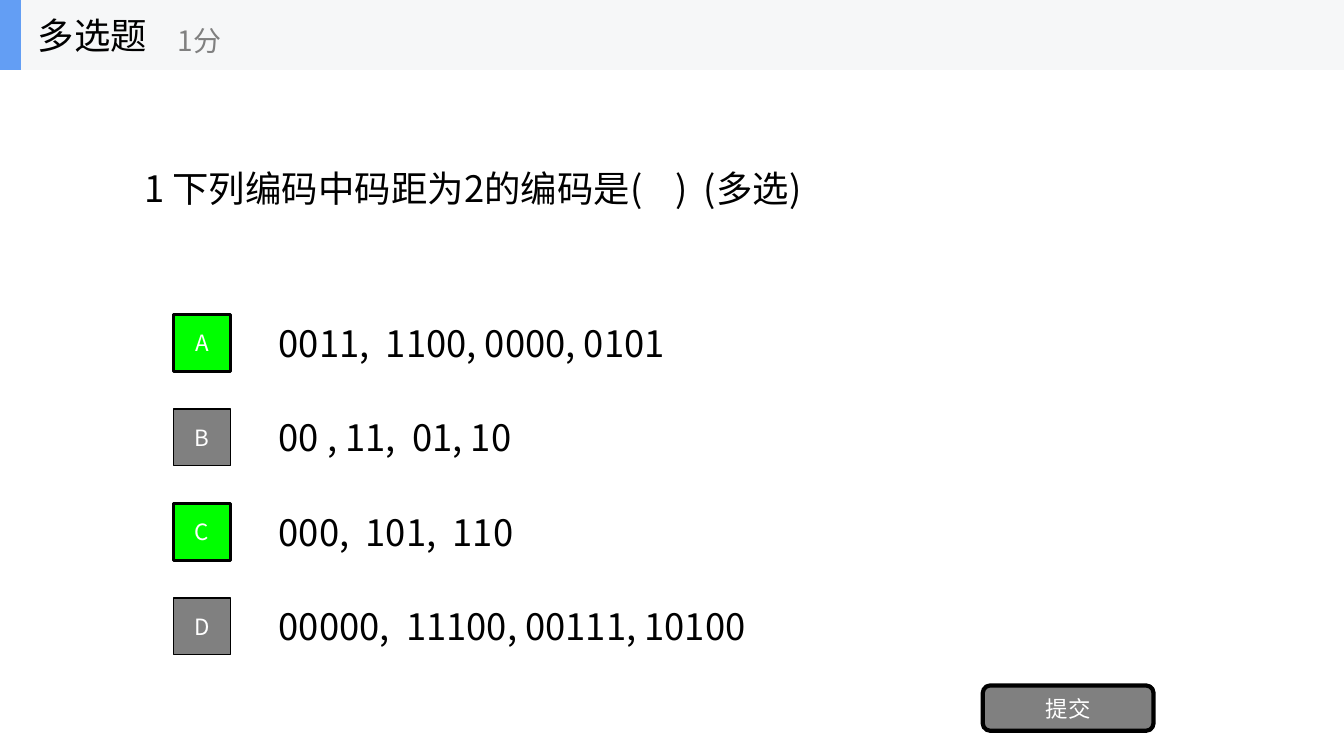
from dataclasses import dataclass

from pptx import Presentation
from pptx.dml.color import RGBColor
from pptx.enum import shapes, text
from pptx.oxml import ns
from pptx.util import Pt


@dataclass(frozen=True)
class Theme:
    font: str = "Noto Sans CJK SC"
    ink: str = "000000"
    white: str = "FFFFFF"
    gray: str = "808080"
    correct: str = "00FF00"
    band: str = "F6F7F8"
    accent: str = "639EF4"
    body_size: int = 26
    score_size: int = 20
    button_size: int = 16


THEME = Theme()
OPTIONS = [
    ("A", "0011,  1100, 0000, 0101", 316, True),
    ("B", "00 , 11,  01, 10", 202, False),
    ("C", "000,  101,  110", 203, True),
    ("D", "00000,  11100, 00111, 10100", 377, False),
]
OPTION_TOP, OPTION_STEP = 224.6, 67.5
KEY_SIZE, ANSWER_HEIGHT = 40.5, 38


def write(shape, words, size, color, align=text.PP_ALIGN.LEFT, wrap=True):
    frame = shape.text_frame
    frame.word_wrap = wrap
    frame.auto_size = text.MSO_AUTO_SIZE.NONE
    frame.vertical_anchor = text.MSO_ANCHOR.MIDDLE
    para = frame.paragraphs[0]
    para.text = words
    para.alignment = align
    font = para.font
    font.size = Pt(size)
    font.name = THEME.font
    font.color.rgb = RGBColor.from_string(color)
    # East Asian characters take their own typeface element
    defaults = para._p.pPr.find(ns.qn("a:defRPr"))
    east_asian = defaults.makeelement(ns.qn("a:ea"), {"typeface": THEME.font})
    defaults.find(ns.qn("a:latin")).addnext(east_asian)


def add_label(slide, words, left, top, width, height, size, color, wrap=True):
    box = slide.shapes.add_textbox(Pt(left), Pt(top), Pt(width), Pt(height))
    write(box, words, size, color, wrap=wrap)


def add_block(slide, kind, left, top, width, height, fill):
    block = slide.shapes.add_shape(kind, Pt(left), Pt(top), Pt(width), Pt(height))
    block.shadow.inherit = False
    block.fill.solid()
    block.fill.fore_color.rgb = RGBColor.from_string(fill)
    block.line.fill.background()
    return block


def add_button(slide, kind, words, left, top, width, height, fill, border):
    button = add_block(slide, kind, left, top, width, height, fill)
    button.line.color.rgb = RGBColor.from_string(THEME.ink)
    button.line.width = Pt(border)
    write(button, words, THEME.button_size, THEME.white, text.PP_ALIGN.CENTER)


def add_question(slide, words):
    title = slide.shapes.title
    title.left, title.top, title.width, title.height = Pt(95.76), Pt(115.2), Pt(505.4), Pt(38)
    write(title, words, THEME.body_size, THEME.ink)


def add_options(slide):
    rectangle = shapes.MSO_SHAPE.RECTANGLE
    for row, (key, answer, width, correct) in enumerate(OPTIONS):
        top = OPTION_TOP + row * OPTION_STEP
        answer_top = top + (KEY_SIZE - ANSWER_HEIGHT) / 2
        add_label(slide, answer, 192, answer_top, width, ANSWER_HEIGHT,
                  THEME.body_size, THEME.ink)
        fill, border = (THEME.correct, 2) if correct else (THEME.gray, 1)
        add_button(slide, rectangle, key, 124, top, KEY_SIZE, KEY_SIZE, fill, border)


def add_header(slide, kind, score):
    height = 50
    rectangle = shapes.MSO_SHAPE.RECTANGLE
    add_block(slide, rectangle, 0, 0, 960, height, THEME.band)
    add_block(slide, rectangle, 0, 0, 15, height, THEME.accent)
    add_label(slide, kind, 20, 0, 150, height, THEME.body_size, THEME.ink, wrap=False)
    add_label(slide, score, 120, 9, 180, 40, THEME.score_size, THEME.gray, wrap=False)


def main():
    deck = Presentation()
    deck.slide_width, deck.slide_height = Pt(960), Pt(540)
    title_only = deck.slide_layouts[5]
    slide = deck.slides.add_slide(title_only)
    add_question(slide, "1 下列编码中码距为2的编码是(    )  (多选)")
    add_options(slide)
    add_button(slide, shapes.MSO_SHAPE.ROUNDED_RECTANGLE, "提交",
               702, 489.6, 122, 32.4, THEME.gray, 3)
    add_header(slide, "多选题", "1分")
    deck.save("out.pptx")


if __name__ == "__main__":
    main()
